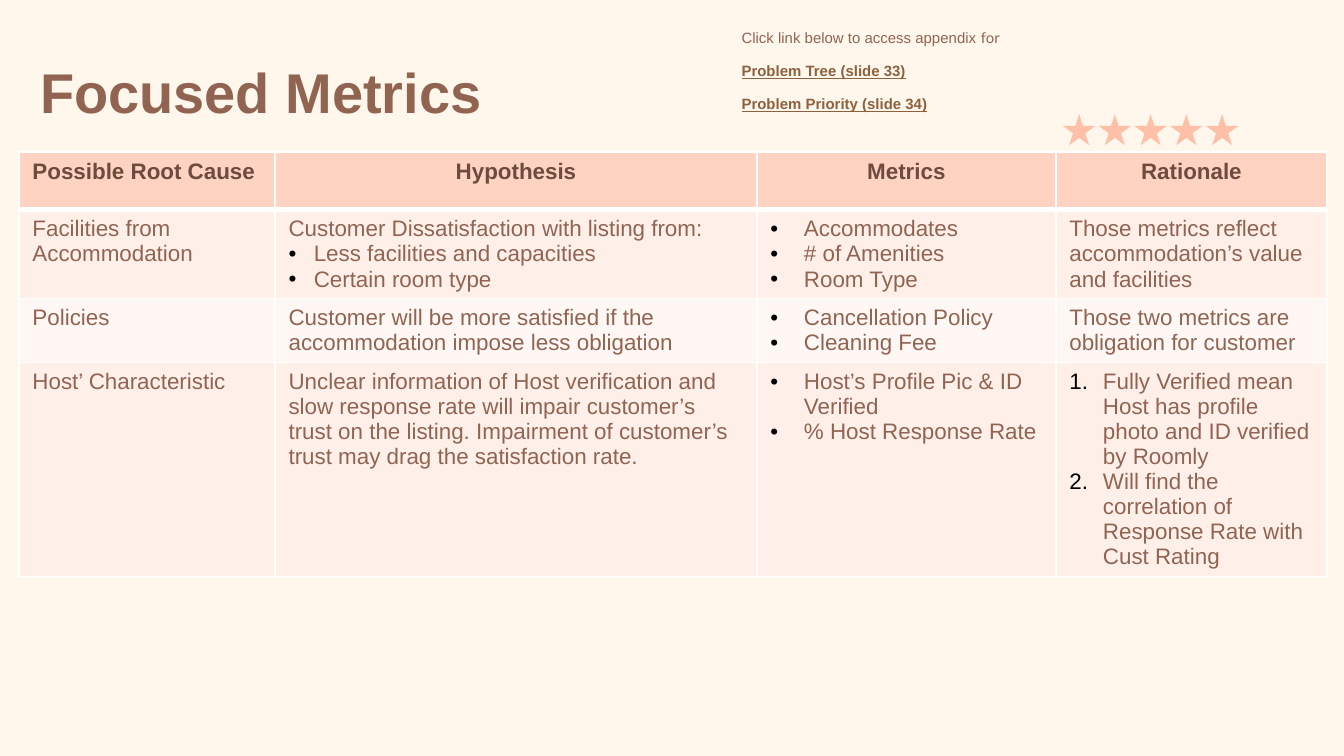
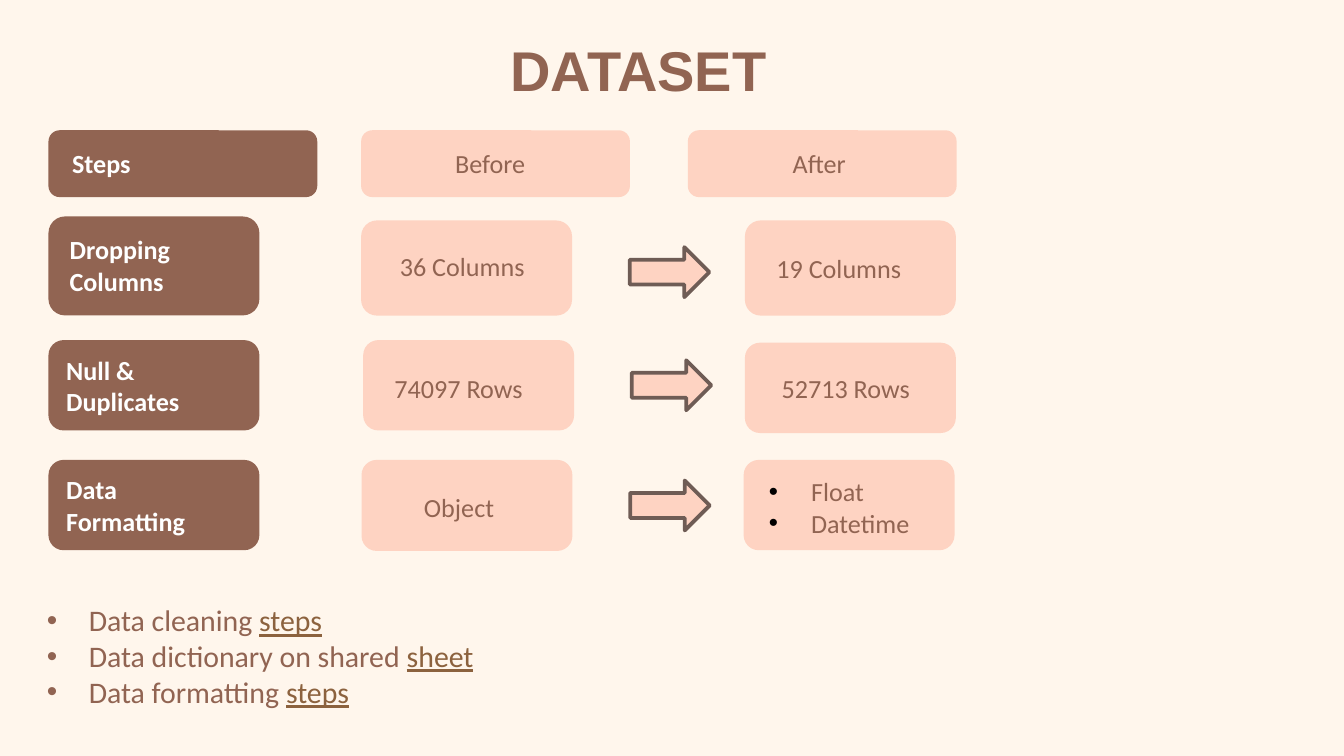
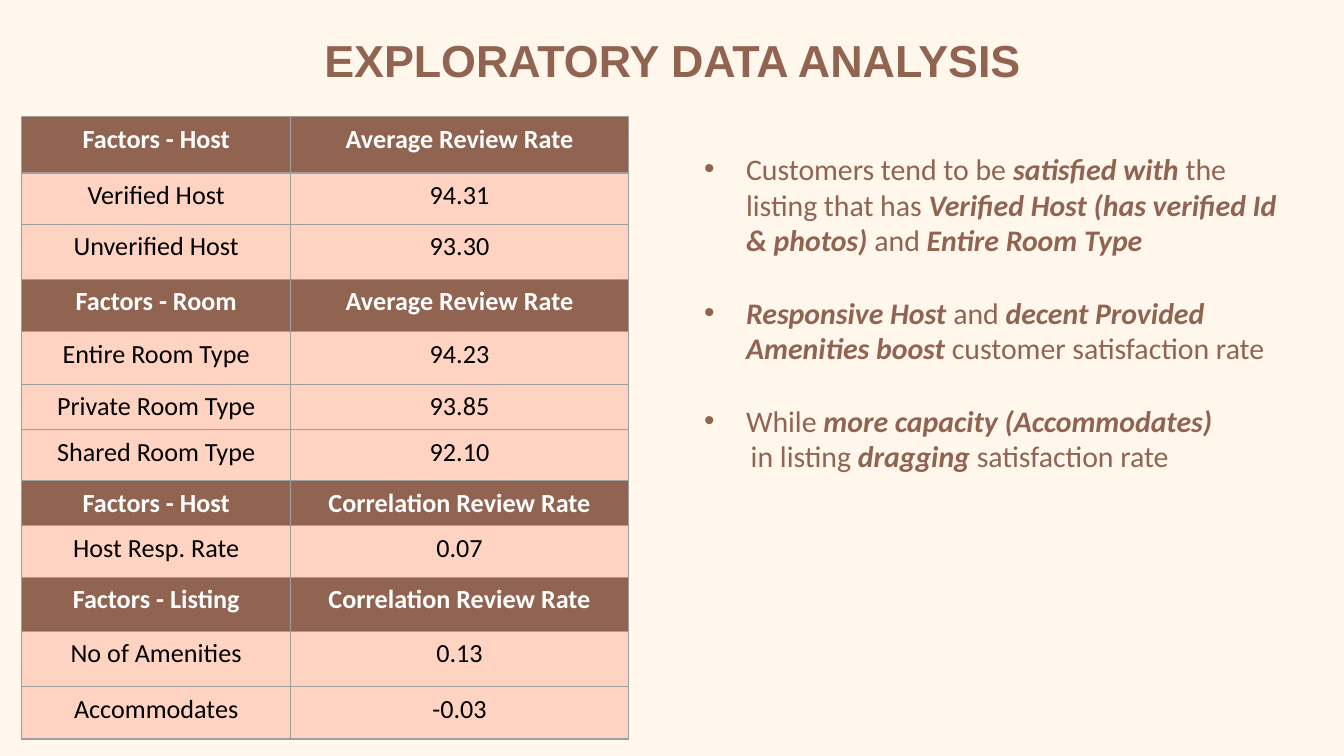
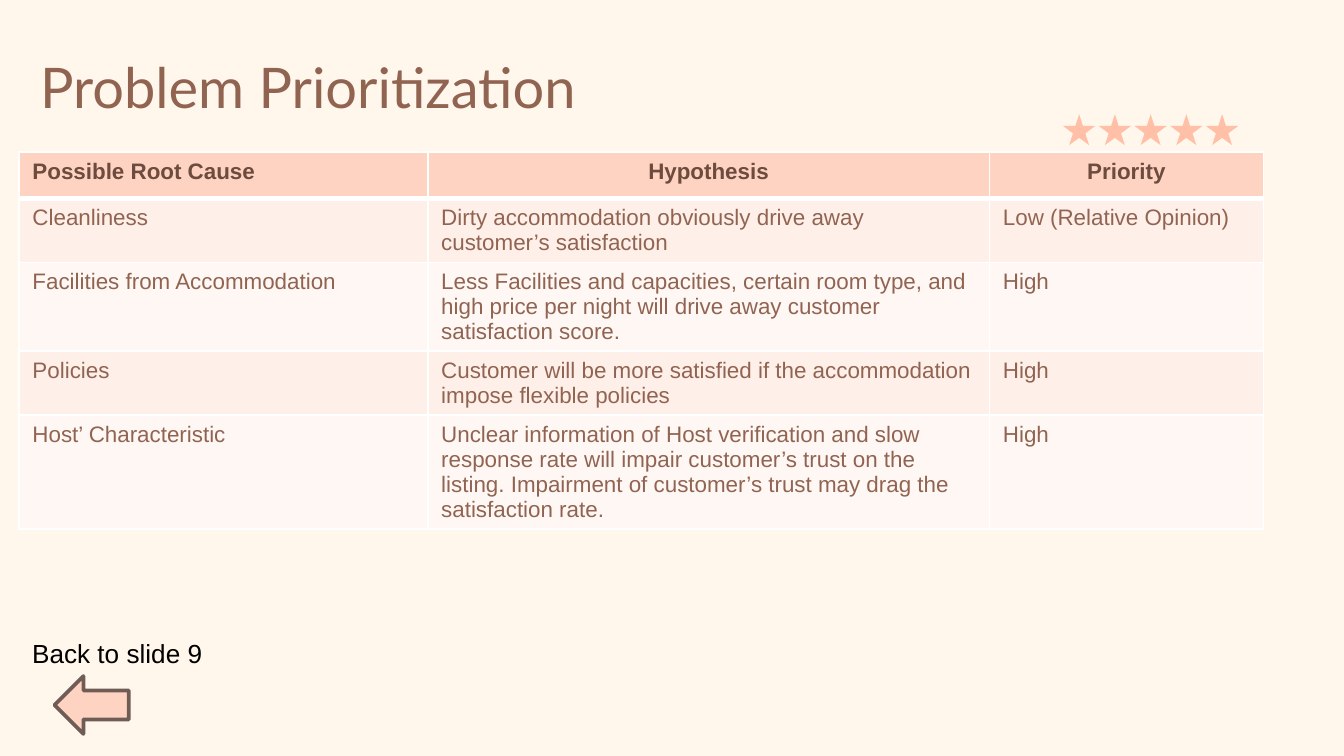
from dataclasses import dataclass
from itertools import cycle

from lxml.etree import SubElement
from pptx import Presentation
from pptx.dml.color import RGBColor
from pptx.enum.shapes import MSO_SHAPE as SHAPE
from pptx.enum.text import MSO_ANCHOR as ANCHOR, MSO_AUTO_SIZE as AUTO, PP_ALIGN as ALIGN
from pptx.oxml import parse_xml
from pptx.oxml.ns import nsdecls, qn
from pptx.util import Pt


# Theme: colours, fonts and type sizes
@dataclass(frozen=True)
class Theme:
    page: str = "FFF6EC"
    brown: str = "916452"
    dark: str = "6D4B3E"
    peach: str = "FED3C2"
    star: str = "FFC0A7"
    link: str = "8C623E"
    outline: str = "6F5C55"
    band_a: str = "FFEFE9"
    band_b: str = "FFF7F4"
    grid: str = "9E9E9E"
    white: str = "FFFFFF"
    black: str = "000000"
    heading: str = "Arial"
    body: str = "Calibri"
    accent: str = "Lato"
    title_size: float = 30
    list_size: float = 16
    card_size: float = 14
    table_size: float = 12
    note_size: float = 8


T = Theme()


def fmt(name, size, color, **more):
    return dict(name=name, size=Pt(size), color=color, **more)


CARD = fmt(T.body, T.card_size, T.brown)
STEP = fmt(T.body, T.card_size, T.white, bold=True)
LIST = fmt(T.body, T.list_size, T.brown)
CELL = fmt(T.heading, T.table_size, T.brown)
HEAD = fmt(T.heading, T.table_size, T.dark, bold=True)
NOTE = fmt(T.heading, T.note_size, T.brown)
LINK = dict(color=T.link, underline=True)
STRONG = dict(bold=True, italic=True)


@dataclass
class Para:
    """Text between asterisks takes the marked style."""
    text: str
    bullet: str = ""
    hang: float = 0
    bullet_color: str = T.black
    before: float = 0
    left: float = 0


def bullets(hang, *texts, char="•", color=T.black, before=0):
    return [Para(t, char, hang, color, before if i else 0) for i, t in enumerate(texts)]


# Text
def set_font(font, values):
    for key, value in values.items():
        if key == "color":
            font.color.rgb = RGBColor.from_string(value)
        else:
            setattr(font, key, value)


def set_bullet(p, item):
    pPr = p._p.get_or_add_pPr()
    pPr.set("marL", str(Pt(item.hang or item.left)))
    pPr.set("indent", str(-Pt(item.hang)))
    if item.bullet:
        color = SubElement(pPr, qn("a:buClr"))
        SubElement(color, qn("a:srgbClr"), val=item.bullet_color)
        SubElement(pPr, qn("a:buFont"), typeface=T.heading)
        if item.bullet == "1.":
            SubElement(pPr, qn("a:buAutoNum"), type="arabicPeriod")
        else:
            SubElement(pPr, qn("a:buChar"), char=item.bullet)


def write(tf, content, style, marked=None, align=ALIGN.LEFT):
    items = content if isinstance(content, list) else [Para(content)]
    for i, item in enumerate(items):
        p = tf.add_paragraph() if i else tf.paragraphs[0]
        p.alignment = align
        if item.before:
            p.space_before = Pt(item.before)
        if item.bullet or item.left:
            set_bullet(p, item)
        for n, part in enumerate(item.text.split("*")):
            for k, line in enumerate(part.split("\n")):
                if k:
                    p.add_line_break()
                if line:
                    r = p.add_run()
                    r.text = line
                    set_font(r.font, {**style, **(marked if n % 2 else {})})


def add_text(shapes, box, content, style, marked=None, align=ALIGN.LEFT, inset=3.6, top=None):
    tf = shapes.add_textbox(*map(Pt, box)).text_frame
    values = dict(word_wrap=True, auto_size=AUTO.NONE, margin_bottom=Pt(inset),
                  margin_top=Pt(inset if top is None else top))
    for key, value in values.items():
        setattr(tf, key, value)
    write(tf, content, style, marked, align)


# Shapes
def add_shape(shapes, kind, box, fill, line=None):
    sp = shapes.add_shape(kind, *map(Pt, box))
    sp.shadow.inherit = False
    sp.fill.solid()
    sp.fill.fore_color.rgb = RGBColor.from_string(fill)
    if line:
        sp.line.color.rgb = RGBColor.from_string(line)
        sp.line.width = Pt(2)
    else:
        sp.line.fill.background()
    return sp


def add_arrow(s, kind, box):
    add_shape(s.shapes, kind, box, T.peach, T.outline)


def add_card(s, box, fill, content, style, text_box=None):
    """Rounded card; its label sits inside it or in a text box grouped with it."""
    if text_box:
        shapes = s.shapes.add_group_shape().shapes
        add_shape(shapes, SHAPE.ROUNDED_RECTANGLE, box, fill)
        add_text(shapes, text_box, content, style)
    else:
        tf = add_shape(s.shapes, SHAPE.ROUNDED_RECTANGLE, box, fill).text_frame
        tf.word_wrap = True
        tf.vertical_anchor = ANCHOR.MIDDLE
        write(tf, content, style)


def add_stars(s):
    shapes = s.shapes.add_group_shape().shapes
    for i in range(5):
        add_shape(shapes, SHAPE.STAR_5_POINT, (569.5 + 19.15 * i, 61.2, 17.3, 16.6), T.star)


# Tables
def set_borders(cell, color, width, bottom=None):
    tcPr = cell._tc.get_or_add_tcPr()
    for i, side in enumerate("LRTB"):
        w = bottom if bottom and side == "B" else width
        tcPr.insert(i, parse_xml(
            f'<a:ln{side} {nsdecls("a")} w="{Pt(w)}"><a:solidFill>'
            f'<a:srgbClr val="{color}"/></a:solidFill></a:ln{side}>'))


def add_table(s, left, top, widths, heights):
    table = s.shapes.add_table(len(heights), len(widths), Pt(left), Pt(top),
                               Pt(sum(widths)), Pt(sum(heights))).table
    table.first_row = table.horz_banding = False
    for column, width in zip(table.columns, widths):
        column.width = Pt(width)
    for row, height in zip(table.rows, heights):
        row.height = Pt(height)
    return table


def fill_cell(cell, content, fill, style, align, border):
    cell.fill.solid()
    cell.fill.fore_color.rgb = RGBColor.from_string(fill)
    write(cell.text_frame, content, style, align=align)
    set_borders(cell, *border)


def add_cause_table(s, widths, heights, header, rows):
    table = add_table(s, 10.2, 81.4, widths, heights)
    for c, text in enumerate(header):
        fill_cell(table.cell(0, c), text, T.peach, HEAD,
                  ALIGN.CENTER if c else ALIGN.LEFT, (T.white, 1, 3))
    for r, (row, band) in enumerate(zip(rows, cycle((T.band_a, T.band_b))), 1):
        for c, content in enumerate(row):
            fill_cell(table.cell(r, c), content, band, CELL, ALIGN.LEFT, (T.white, 1))


def add_factor_table(s, top, heights, rows):
    table = add_table(s, 11.7, top, (144, 181), heights)
    for r, row in enumerate(rows):
        is_head = row[0].startswith("Factors")
        fill, style = (T.brown, STEP) if is_head else (T.peach, {**CARD, "color": T.black})
        for c, text in enumerate(row):
            fill_cell(table.cell(r, c), text, fill, style, ALIGN.CENTER, (T.grid, 0.75))


# Slides
def new_slide(prs, title, box, size=T.title_size, font=T.heading, align=ALIGN.LEFT):
    s = prs.slides.add_slide(prs.slide_layouts[6])
    s.background.fill.solid()
    s.background.fill.fore_color.rgb = RGBColor.from_string(T.page)
    is_bold = font == T.heading
    add_text(s.shapes, box, title, fmt(font, size, T.brown, bold=is_bold),
             align=align, inset=7.2, top=9.7 if is_bold else 7.2)
    return s


HOST_HYPOTHESIS = ("Unclear information of Host verification and slow response rate will impair "
                   "customer’s trust on the listing. Impairment of customer’s trust may drag "
                   "the satisfaction rate.")


def metrics_slide(prs):
    s = new_slide(prs, "Focused Metrics", (14.4, 20.9, 355.7, 45.4))
    add_stars(s)
    rows = [
        ["Facilities from Accommodation",
         [Para("Customer Dissatisfaction with listing from:"),
          *bullets(13.5, "Less facilities and capacities", "Certain room type")],
         bullets(18, "Accommodates", "# of Amenities", "Room Type"),
         "Those metrics reflect accommodation’s value and facilities"],
        ["Policies",
         "Customer will be more satisfied if the accommodation impose less obligation",
         bullets(18, "Cancellation Policy", "Cleaning Fee"),
         "Those two metrics are obligation for customer"],
        ["Host’ Characteristic", HOST_HYPOTHESIS,
         bullets(18, "Host’s Profile Pic & ID Verified", "% Host Response Rate"),
         bullets(18, "Fully Verified mean Host has profile photo and ID verified by Roomly",
                 "Will find the correlation of Response Rate with Cust Rating", char="1.")],
    ]
    add_cause_table(s, (137.2, 258.1, 160.2, 145.2), (31, 47.5, 34.2, 114.8),
                    ("Possible Root Cause", "Hypothesis", "Metrics", "Rationale"), rows)
    # Appendix links
    notes = [("Click link below to access appendix *for*", 170.6, {}, dict(name=T.accent)),
             ("Problem Tree (slide 33)", 105.8, dict(LINK, bold=True), None),
             ("Problem Priority (slide 34)", 119.5, dict(LINK, bold=True), None)]
    for i, (text, width, extra, marked) in enumerate(notes):
        add_text(s.shapes, (390.2, 8.1 + 17.6 * i, width, 22.3), text,
                 {**NOTE, **extra}, marked, inset=7.2)


def dataset_slide(prs):
    s = new_slide(prs, "DATASET", (266.4, 9.4, 174.2, 45.4))
    # Header cards
    for x, text, text_x, fill, style in [(26, "Steps", 31.5, T.brown, STEP),
                                         (193.5, "Before", 236.7, T.peach, CARD),
                                         (368.5, "After", 417.6, T.peach, CARD)]:
        add_card(s, (x, 69.8, 144, 35.8), fill, text, style, (text_x, 75.6, 76, 24.5))
    # Step cards
    add_card(s, (26, 116, 113, 53), T.brown, "Dropping\nColumns", STEP, (30.2, 121.7, 93.6, 41))
    add_card(s, (26, 182.2, 113, 48.4), T.brown, "Null & Duplicates", STEP)
    add_card(s, (26, 246.4, 113, 48.4), T.brown, "Data Formatting", STEP)
    # Before and after cards: left, top, height, label, label box
    formats = bullets(22.5, "Float", "Datetime")
    for x, y, height, content, text_box in [
            (193.5, 118.1, 51, "36 Columns", (207.1, 130.5, 94.3, 24.5)),
            (399.1, 118.1, 51, "19 Columns", (408.8, 131.5, 94.3, 24.5)),
            (194.6, 182.2, 48.4, "74097 Rows", (204.2, 195.8, 94.3, 24.5)),
            (399.1, 183.6, 48.4, "52713 Rows", (411.6, 195.8, 94.3, 24.5)),
            (193.7, 246.4, 48.8, "Object", (220, 259.6, 58.3, 24.5)),
            (398.4, 246.4, 48.4, formats, (404.9, 251.3, 105.8, 41))]:
        add_card(s, (x, y, 113, height), T.peach, content, CARD, text_box)
    for x, y in [(337.4, 132.4), (338.4, 193), (337.6, 257.4)]:
        add_arrow(s, SHAPE.RIGHT_ARROW, (x, y, 42.6, 26.8))
    # Reference list
    add_text(s.shapes, (18, 315.4, 702, 67),
             bullets(22.5, "Data cleaning *steps*", "Data dictionary on shared *sheet*",
                     "Data formatting *steps*", color=T.brown),
             LIST, LINK, inset=7.2)


def analysis_slide(prs):
    s = new_slide(prs, "EXPLORATORY DATA ANALYSIS", (128, 7.9, 464.4, 45.4),
                  size=24, align=ALIGN.CENTER)
    findings = bullets(
        22.5,
        "Customers tend to be *satisfied with *the listing that has "
        "*Verified Host (has verified Id & photos) *and *Entire Room Type*",
        "*Responsive Host *and *decent Provided Amenities boost *customer satisfaction rate",
        "While *more capacity (Accommodates)*",
        color=T.brown, before=19.5)
    findings.append(Para("in listing *dragging* satisfaction rate", left=25))
    add_text(s.shapes, (370.1, 73.4, 330.5, 271.4), findings, LIST, STRONG, inset=7.2)
    add_factor_table(s, 62.6, (30.1, 27.5, 29.5, 28, 28.2, 24.2, 27.4), [
        ("Factors - Host", "Average Review Rate"),
        ("Verified Host", "94.31"),
        ("Unverified Host", "93.30"),
        ("Factors - Room", "Average Review Rate"),
        ("Entire Room Type", "94.23"),
        ("Private Room Type", "93.85"),
        ("Shared Room Type", "92.10"),
    ])
    add_factor_table(s, 257.4, (24.2, 27.6, 29, 29.6, 28.1), [
        ("Factors - Host", "Correlation Review Rate"),
        ("Host Resp. Rate", "0.07"),
        ("Factors - Listing", "Correlation Review Rate"),
        ("No of Amenities", "0.13"),
        ("Accommodates", "-0.03"),
    ])


def priority_slide(prs):
    s = new_slide(prs, "Problem Prioritization", (14.4, 20.9, 607.7, 45.4), font=T.accent)
    add_stars(s)
    rows = [
        ("Cleanliness", "Dirty accommodation obviously drive away customer’s satisfaction",
         "Low (Relative Opinion)"),
        ("Facilities from Accommodation",
         "Less Facilities and capacities, certain room type, and high price per night "
         "will drive away customer satisfaction score.", "High"),
        ("Policies",
         "Customer will be more satisfied if the accommodation impose flexible policies", "High"),
        ("Host’ Characteristic", HOST_HYPOTHESIS, "High"),
    ]
    add_cause_table(s, (219, 300.9, 146.7), (25, 34.2, 47.6, 34.2, 61),
                    ("Possible Root Cause", "Hypothesis", "Priority"), rows)
    # Way back
    add_arrow(s, SHAPE.LEFT_ARROW, (29.2, 362.2, 39.8, 31))
    add_text(s.shapes, (10.1, 337.7, 115.9, 24.5), "Back to slide 9",
             fmt(T.heading, T.card_size, T.black))


def main():
    prs = Presentation()
    prs.slide_width, prs.slide_height = Pt(720), Pt(405)
    for build in (metrics_slide, dataset_slide, analysis_slide, priority_slide):
        build(prs)
    prs.save("out.pptx")


if __name__ == "__main__":
    main()
